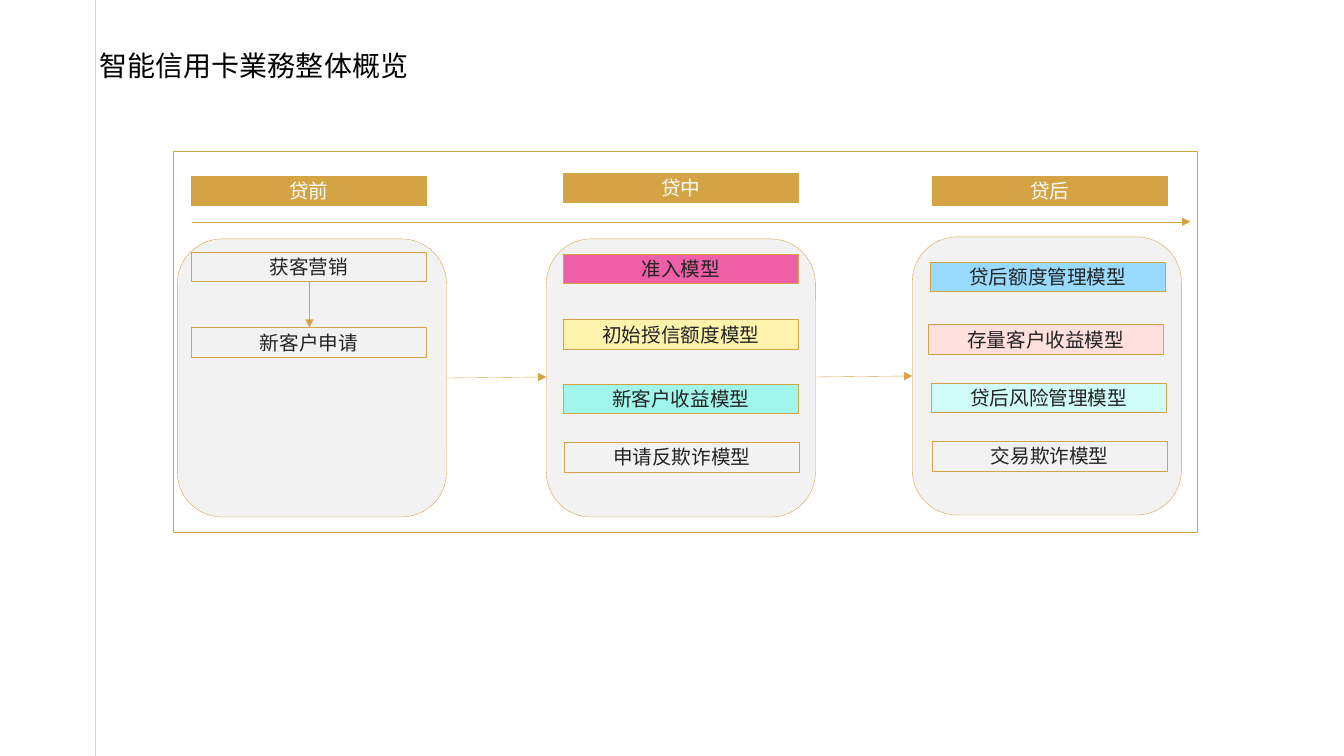
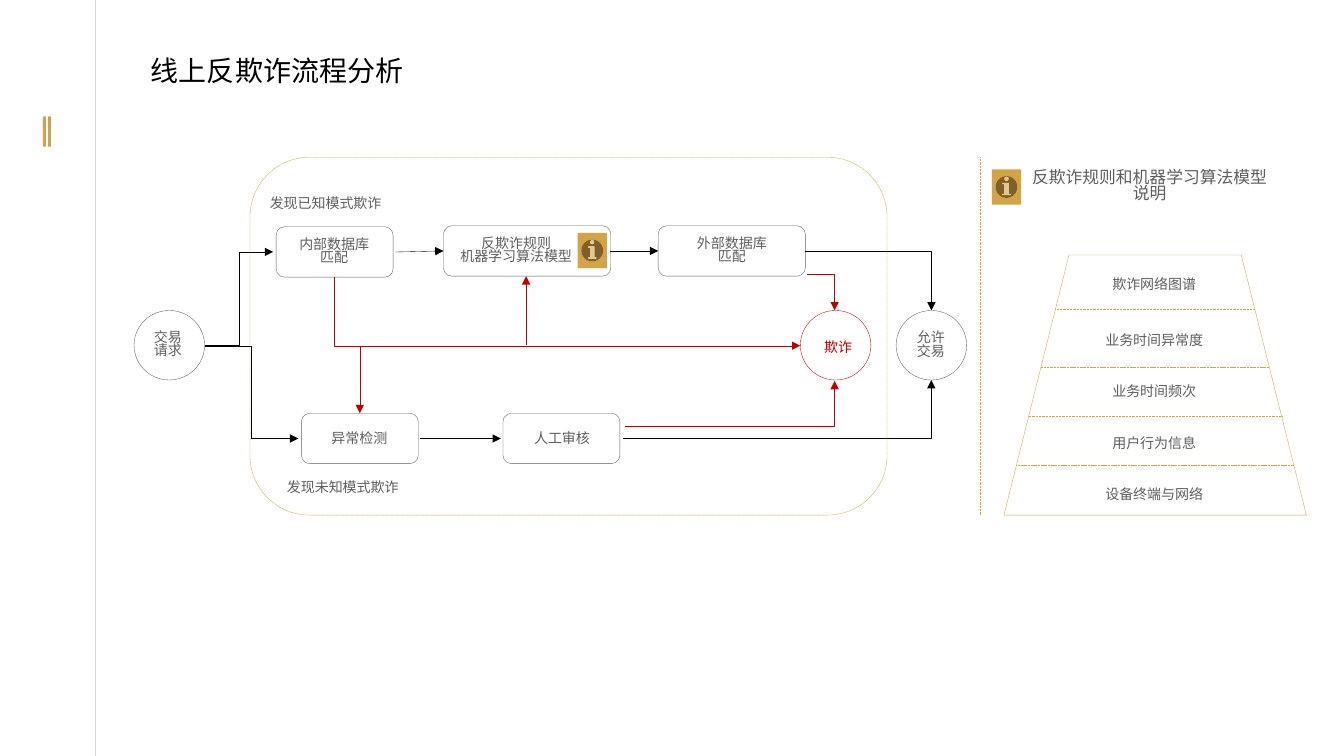
from lxml.etree import SubElement
from pptx import Presentation
from pptx.dml.color import RGBColor
from pptx.enum.dml import MSO_LINE
from pptx.enum.shapes import MSO_CONNECTOR, MSO_SHAPE
from pptx.enum.text import MSO_ANCHOR, MSO_AUTO_SIZE, PP_ALIGN
from pptx.oxml.ns import qn
from pptx.util import Inches, Pt

# Grid: square cells, 10 to the inch
CELL = Inches(0.1)
COLS, ROWS = 133.33, 75

GOLD = RGBColor(0xD4, 0xA3, 0x44)
DARK_GOLD = RGBColor(0xCA, 0xA3, 0x54)
RULE_GREY = RGBColor(0xD6, 0xD5, 0xD5)
CARD_GREY = RGBColor(0xF2, 0xF2, 0xF2)
TEXT_GREY = RGBColor(0x5E, 0x5E, 0x5E)
INK = RGBColor(0x23, 0x23, 0x23)
BLACK = RGBColor(0, 0, 0)
WHITE = RGBColor(0xFF, 0xFF, 0xFF)
RED = RGBColor(0xC0, 0, 0)
PINK = RGBColor(0xEF, 0x5F, 0xA7)
YELLOW = RGBColor(0xFD, 0xF3, 0xAD)
AQUA = RGBColor(0xA1, 0xF6, 0xEC)
SKY = RGBColor(0x99, 0xDA, 0xFF)
BLUSH = RGBColor(0xFF, 0xE0, 0xDC)
MINT = RGBColor(0xD0, 0xFB, 0xF6)

CJK_FONT, LATIN_FONT = "Noto Sans CJK SC", "Roboto"


def cells(*lengths):
    return [round(n * CELL) for n in lengths]


class Deck:
    """Holds the style and the current slide."""

    def __init__(self):
        self.prs = Presentation()
        self.prs.slide_width, self.prs.slide_height = cells(COLS, ROWS)
        self.s = None

    def slide(self, title, left, top, width):
        self.s = self.prs.slides.add_slide(self.prs.slide_layouts[5])
        self.line((9.5, ROWS), (9.5, 0), RULE_GREY, weight=0.75, arrow=False)
        sp = self.s.shapes.title
        sp.left, sp.top, sp.width, sp.height = cells(left, top, width, 4)
        self.fill_text(sp, title, 20, BLACK, wrap=False)

    def fill_text(self, sp, text, size, color, font=CJK_FONT, spacing=None, wrap=True):
        tf = sp.text_frame
        tf.word_wrap = wrap
        tf.auto_size = MSO_AUTO_SIZE.NONE
        tf.vertical_anchor = MSO_ANCHOR.MIDDLE
        tf.margin_left = tf.margin_right = tf.margin_top = tf.margin_bottom = Inches(0.03)
        for i, line in enumerate(text.split("\n")):
            p = tf.add_paragraph() if i else tf.paragraphs[0]
            p.alignment = PP_ALIGN.CENTER
            if spacing:
                p.line_spacing = spacing
            r = p.add_run()
            r.text = line
            r.font.size, r.font.name = Pt(size), font
            r.font.color.rgb = color
            SubElement(r._r.get_or_add_rPr(), qn("a:ea")).set("typeface", CJK_FONT)

    def shape(self, kind, left, top, width, height, fill=None, line=GOLD, dashed=False):
        sp = self.s.shapes.add_shape(kind, *cells(left, top, width, height))
        sp.shadow.inherit = False
        if fill is None:
            sp.fill.background()
        else:
            sp.fill.solid()
            sp.fill.fore_color.rgb = fill
        if line is None:
            sp.line.fill.background()
        else:
            self.stroke(sp.line, line, 0.25, dashed)
        return sp

    def stroke(self, line, color, weight, dashed):
        line.color.rgb = color
        line.width = Pt(weight)
        if dashed:
            line.dash_style = MSO_LINE.SQUARE_DOT

    def box(self, text, left, top, fill=None, color=INK):
        sp = self.shape(MSO_SHAPE.RECTANGLE, left, top, 23.3, 2.9, fill)
        self.fill_text(sp, text, 14, color, LATIN_FONT)

    def label(self, text, left, top, width, height=2.3, size=10, color=TEXT_GREY):
        sp = self.s.shapes.add_textbox(*cells(left, top, width, height))
        self.fill_text(sp, text, size, color, spacing=0.8)

    def info(self, left, top):
        self.shape(MSO_SHAPE.ACTION_BUTTON_INFORMATION, left, top, 2.9, 3.5, GOLD, None)

    def line(self, start, end, color=GOLD, weight=0.25, dashed=False, arrow=True,
             kind=MSO_CONNECTOR.STRAIGHT, arrow_end="a:tailEnd"):
        c = self.s.shapes.add_connector(kind, *cells(*start, *end))
        self.stroke(c.line, color, weight, dashed)
        props = c._element.spPr
        if arrow:
            SubElement(props.find(qn("a:ln")), qn(arrow_end)).set("type", "triangle")
        SubElement(props, qn("a:effectLst"))
        return c

    def corner(self, start, end, color=BLACK, arrow_end="a:tailEnd"):
        """One bend: across first, then up or down."""
        c = self.line(start, end, color, kind=MSO_CONNECTOR.ELBOW, arrow_end=arrow_end)
        c._element.spPr.find(qn("a:prstGeom")).set("prst", "bentConnector2")


def overview(deck):
    deck.slide("智能信用卡業務整体概览", 9.5, 4.5, 31.4)

    # Frame, stage cards and time line
    for left, top in ((17.6, 23.7), (54.2, 23.7), (90.5, 23.5)):
        deck.shape(MSO_SHAPE.ROUNDED_RECTANGLE, left, top, 26.7, 27.6, CARD_GREY)
    deck.shape(MSO_SHAPE.RECTANGLE, 17.2, 15, 101.6, 37.8)
    deck.line((19, 22), (118.1, 22))

    # Stage headings
    for text, left, top in (("贷前", 19, 17.5), ("贷中", 55.9, 17.2), ("贷后", 92.5, 17.5)):
        deck.box(text, left, top, GOLD, WHITE)

    # Steps and models
    for text, left, top, fill in (
        ("获客营销", 19, 25, None),
        ("新客户申请", 19, 32.5, None),
        ("准入模型", 55.9, 25.2, PINK),
        ("初始授信额度模型", 55.9, 31.7, YELLOW),
        ("新客户收益模型", 55.9, 38.1, AQUA),
        ("申请反欺诈模型", 56, 43.9, None),
        ("贷后额度管理模型", 92.3, 26, SKY),
        ("存量客户收益模型", 92.1, 32.2, BLUSH),
        ("贷后风险管理模型", 92.4, 38, MINT),
        ("交易欺诈模型", 92.5, 43.8, None),
    ):
        deck.box(text, left, top, fill)

    # Arrows between steps and stages
    deck.line((30.7, 27.9), (30.7, 32.5))
    deck.line((44.3, 37.5), (54.2, 37.4))
    deck.line((80.9, 37.4), (90.5, 37.3))


def process(deck):
    deck.slide("线上反欺诈流程分析", 14.6, 5, 25.8)
    for left in (4.25, 4.75):
        deck.shape(MSO_SHAPE.RECTANGLE, left, 11.55, 0.3, 3, DARK_GOLD, None)

    # Pyramid: its sides move out a quarter cell per row
    left, top, width, height = 99.6, 25.3, 30, 25.8
    deck.shape(MSO_SHAPE.TRAPEZOID, left, top, width, height)
    for y in (30.7, 36.4, 41.3, 46.2):
        inset = (top + height - y) / 4
        deck.line((left + inset, y), (left + width - inset, y), dashed=True, arrow=False)
    layers = ("欺诈网络图谱", "业务时间异常度", "业务时间频次", "用户行为信息", "设备终端与网络")
    for text, y in zip(layers, (27.2, 32.7, 37.8, 42.9, 48)):
        deck.label(text, 104.7, y, 19.6)

    # Start and results
    for x, color in ((13.3, TEXT_GREY), (79.4, RED), (88.9, TEXT_GREY)):
        deck.shape(MSO_SHAPE.OVAL, x, 30.8, 7, 6.9, line=color)
    deck.label("交易\n请求", 13.4, 32.2, 6.5, 4)
    deck.label("欺诈", 79.5, 33.4, 7.3, color=RED)
    deck.label("允许\n交易", 88.7, 32.3, 7.3, 4)

    # Process steps
    for x, y, w in ((27.4, 22.5, 11.6), (44, 22.4, 16.6), (65.3, 22.4, 14.6),
                    (29.9, 41, 11.6), (49.9, 41, 11.6)):
        deck.shape(MSO_SHAPE.ROUNDED_RECTANGLE, x, y, w, 5, line=TEXT_GREY)
    deck.label("内部数据库\n匹配", 27.1, 23, 12.1, 4)
    deck.label("反欺诈规则\n机器学习算法模型", 45, 22.9, 12.4, 4)
    deck.label("外部数据库\n匹配", 66.4, 22.9, 12.4, 4)
    deck.label("异常检测", 29.6, 42.4, 12.1)
    deck.label("人工审核", 49.7, 42.4, 12.1)

    # Normal flow
    for end in ((27.1, 25), (29.6, 43.5)):
        deck.line((20.3, 34.3), end, BLACK, kind=MSO_CONNECTOR.ELBOW)
    for start, end in (((39.2, 25), (44, 24.9)), ((60.5, 24.9), (65.3, 24.9)),
                       ((41.7, 43.5), (49.7, 43.5))):
        deck.line(start, end, BLACK)
    deck.corner((79.9, 24.9), (92.4, 30.8))
    deck.corner((61.8, 43.5), (92.4, 37.7))

    # Fraud flow
    deck.corner((79.4, 34.3), (33.2, 27.5), RED, "a:headEnd")
    deck.line((35.7, 34.3), (35.7, 41), RED)
    deck.line((52.2, 34.2), (52.2, 27.4), RED)
    deck.corner((62, 42.3), (82.8, 37.8), RED)
    deck.corner((80.1, 27.2), (82.8, 30.8), RED)

    # Detection area
    deck.label("发现已知模式欺诈", 23.1, 19.1, 18.4)
    deck.label("发现未知模式欺诈", 24.8, 47.3, 18.4)
    deck.shape(MSO_SHAPE.ROUNDED_RECTANGLE, 24.8, 15.6, 63.2, 35.5, dashed=True)
    deck.info(57.3, 23.1)

    # Legend
    deck.line((97.2, 15.6), (97.2, 51.1), dashed=True, arrow=False)
    deck.label("反欺诈规则和机器学习算法模型说明", 101.7, 16.2, 24.7, 4.6, 12)
    deck.info(98.4, 16.8)


def main():
    deck = Deck()
    overview(deck)
    process(deck)
    deck.prs.save("out.pptx")


if __name__ == "__main__":
    main()
